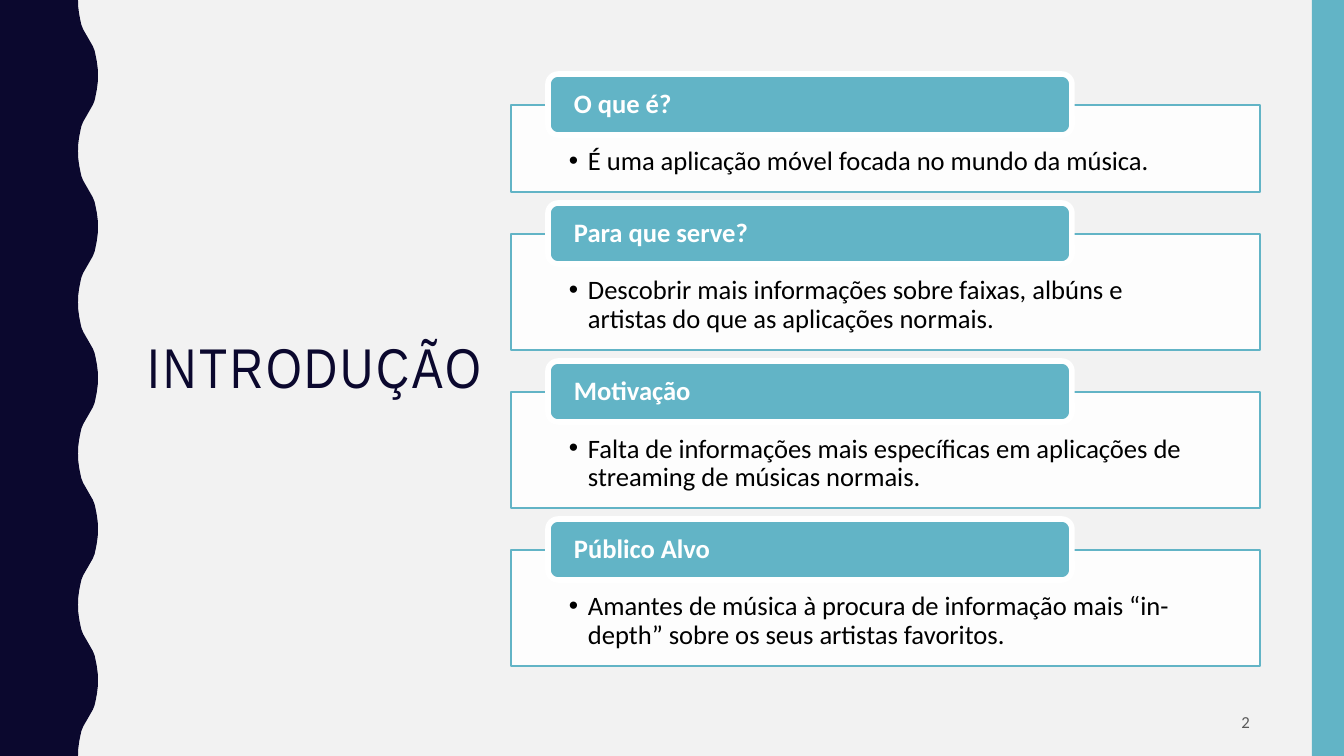
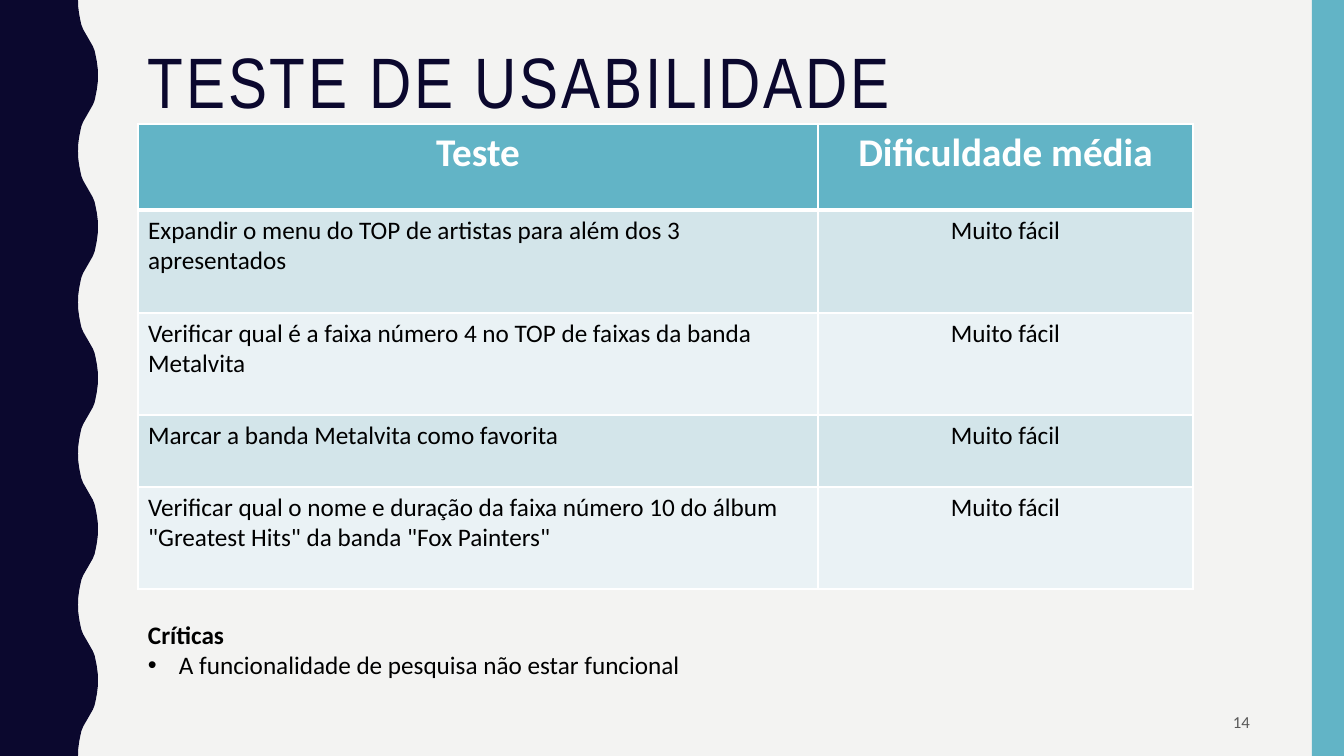
from pptx import Presentation
from pptx.dml.color import RGBColor
from pptx.enum.shapes import MSO_SHAPE
from pptx.enum.text import MSO_ANCHOR, PP_ALIGN
from pptx.oxml.ns import qn
from pptx.util import Pt
from lxml import etree

RECT, ROUND = MSO_SHAPE.RECTANGLE, MSO_SHAPE.ROUNDED_RECTANGLE
TOP, MIDDLE = MSO_ANCHOR.TOP, MSO_ANCHOR.MIDDLE
LEFT, CENTER, RIGHT = PP_ALIGN.LEFT, PP_ALIGN.CENTER, PP_ALIGN.RIGHT

# Shared look
WIDE, HIGH = 1344, 756
SCALE = 12192000 / WIDE
NAVY, TEAL, WHITE, BLACK, GREY = "0B082E", "62B4C6", "FFFFFF", "000000", "595959"
BANDS = ("D3E5EA", "EAF2F5")
HEAD, BODY = "Arial Narrow", "Calibri"
INSET = (10, 5, 10, 5)

# Half of one bend of the wavy band: percent down, percent across
BEND = ((0, 0), (9, 1), (19, 6), (27, 12), (33, 17), (39, 26), (44, 37), (50, 50))
BENDS, INNER, OUTER = 10, 78, 98

# Slide content
CARDS = (
    ("O que é?", 87, "É uma aplicação móvel focada no mundo da música."),
    ("Para que serve?", 116,
     "Descobrir mais informações sobre faixas, albúns e artistas do que as aplicações normais."),
    ("Motivação", 116,
     "Falta de informações mais específicas em aplicações de streaming de músicas normais."),
    ("Público Alvo", 116,
     "Amantes de música à procura de informação mais “in-depth” sobre os seus artistas favoritos."),
)
ROWS = (
    (86, "Teste", "Dificuldade média"),
    (103, "Expandir o menu do TOP de artistas para além dos 3 apresentados", "Muito fácil"),
    (102, "Verificar qual é a faixa número 4 no TOP de faixas da banda Metalvita", "Muito fácil"),
    (72, "Marcar a banda Metalvita como favorita", "Muito fácil"),
    (102, "Verificar qual o nome e duração da faixa número 10 do álbum "
          "\"Greatest Hits\" da banda \"Fox Painters\"", "Muito fácil"),
)


def px(num):
    return round(num * SCALE)


def place(*nums):
    return [px(num) for num in nums]


def color(code):
    return RGBColor.from_string(code)


def paint(item, code):
    item.fill.solid()
    item.fill.fore_color.rgb = color(code)


# Text
def set_frame(frame, anchor=TOP, inset=INSET):
    frame.word_wrap = True
    frame.vertical_anchor = anchor
    (frame.margin_left, frame.margin_top,
     frame.margin_right, frame.margin_bottom) = place(*inset)


def add_run(para, text, size, code, bold=False, face=BODY):
    run = para.add_run()
    run.text = text
    run.font.name, run.font.size, run.font.bold = face, Pt(size), bold
    run.font.color.rgb = color(code)
    return run


def add_dot(para, indent):
    props = para._p.get_or_add_pPr()
    props.set("marL", str(px(indent)))
    props.set("indent", str(-px(indent)))
    etree.SubElement(props, qn("a:buFont")).set("typeface", "Arial")
    etree.SubElement(props, qn("a:buChar")).set("char", "•")


def text_box(slide, *spot, anchor=TOP):
    frame = slide.shapes.add_textbox(*place(*spot)).text_frame
    set_frame(frame, anchor)
    return frame


# Shapes
def add_box(slide, kind, spot, fill, edge=None, width=1):
    box = slide.shapes.add_shape(kind, *place(*spot))
    box.shadow.inherit = False
    paint(box, fill)
    if edge:
        box.line.color.rgb = color(edge)
        box.line.width = Pt(width)
    else:
        box.line.fill.background()
    return box


def add_wave(slide):
    half = BEND + tuple((100 - y, 100 - x) for y, x in BEND[-2::-1])
    step, span = HIGH / BENDS, OUTER - INNER
    points = []
    for bend in range(BENDS):
        for down, across in half:
            part = 100 - across if bend % 2 else across
            points.append(place(INNER + span * part / 100, step * (bend + down / 100)))
    path = slide.shapes.build_freeform(0, 0)
    path.add_line_segments(points + [(0, px(HIGH))], close=True)
    wave = path.convert_to_shape()
    wave.shadow.inherit = False
    paint(wave, NAVY)
    wave.line.fill.background()


# Slide base: background, side bands, title, page number
def add_slide(deck, back, title, size, spot, anchor, page):
    slide = deck.slides.add_slide(deck.slide_layouts[5])
    paint(slide.background, back)
    add_wave(slide)
    add_box(slide, RECT, (1312, 0, 32, HIGH), TEAL)
    head = slide.shapes.title
    head.left, head.top, head.width, head.height = place(*spot)
    set_frame(head.text_frame, anchor)
    para = head.text_frame.paragraphs[0]
    para.alignment, para.line_spacing = LEFT, 0.9
    run = add_run(para, title, size, NAVY, face=HEAD)
    run.font._element.set("spc", "200")
    foot = text_box(slide, 950, 703, 310, 38, anchor=MIDDLE).paragraphs[0]
    foot.alignment = RIGHT
    add_run(foot, page, 12, GREY)
    return slide


# Card with a label on its top edge
def add_card(slide, top, high, label, text):
    card = add_box(slide, RECT, (511, top, 749, high), WHITE, TEAL)
    tint = card._element.spPr.find(qn("a:solidFill"))[0]
    etree.SubElement(tint, qn("a:alpha")).set("val", "90000")
    tab = add_box(slide, ROUND, (548, top - 31, 524, 61), TEAL, WHITE, 4)
    for box, anchor, inset in ((card, TOP, (58, 43, 58, 15)), (tab, MIDDLE, (23, 0, 23, 0))):
        set_frame(box.text_frame, anchor, inset)
        para = box.text_frame.paragraphs[0]
        para.alignment, para.line_spacing = LEFT, 0.9
    add_dot(card.text_frame.paragraphs[0], 19)
    add_run(card.text_frame.paragraphs[0], text, 19, BLACK)
    add_run(tab.text_frame.paragraphs[0], label, 19, WHITE, True)


# Table
def add_edges(cell, above, below):
    props = cell._tc.get_or_add_tcPr()
    for spot, (side, width) in enumerate((("L", 1), ("R", 1), ("T", above), ("B", below))):
        line = etree.Element(qn("a:ln" + side), w=str(Pt(width)))
        fill = etree.SubElement(line, qn("a:solidFill"))
        etree.SubElement(fill, qn("a:srgbClr")).set("val", WHITE)
        props.insert(spot, line)


def add_grid(slide, left, top, cols, rows):
    high = sum(row[0] for row in rows)
    grid = slide.shapes.add_table(
        len(rows), len(cols), *place(left, top, sum(cols), high)).table
    for col, width in zip(grid.columns, cols):
        col.width = px(width)
    for i, (tall, *texts) in enumerate(rows):
        grid.rows[i].height = px(tall)
        first = i == 0
        for j, text in enumerate(texts):
            cell = grid.cell(i, j)
            paint(cell, TEAL if first else BANDS[(i - 1) % 2])
            add_edges(cell, 3 if i == 1 else 1, 3 if first else 1)
            para = cell.text_frame.paragraphs[0]
            para.alignment = CENTER if first or j else LEFT
            add_run(para, text, 28 if first else 18, WHITE if first else BLACK, first)


def intro(deck):
    slide = add_slide(deck, "F2F2F2", "INTRODUÇÃO", 40, (138, 72, 373, 596), MIDDLE, "2")
    top, gap = 105, 42
    for label, high, text in CARDS:
        add_card(slide, top, high, label, text)
        top += high + gap


def tests(deck):
    slide = add_slide(deck, "F3F3F2", "TESTE DE USABILIDADE", 51,
                      (138, 42, 1122, 164), TOP, "14")
    add_grid(slide, 138, 124, (680, 375), ROWS)
    notes = text_box(slide, 138, 614, 1055, 102)
    add_run(notes.paragraphs[0], "Críticas", 18, BLACK, True)
    para = notes.add_paragraph()
    add_dot(para, 31)
    add_run(para, "A funcionalidade de pesquisa não estar funcional", 18, BLACK)


def main():
    deck = Presentation()
    deck.slide_width, deck.slide_height = place(WIDE, HIGH)
    intro(deck)
    tests(deck)
    deck.save("out.pptx")


if __name__ == "__main__":
    main()
